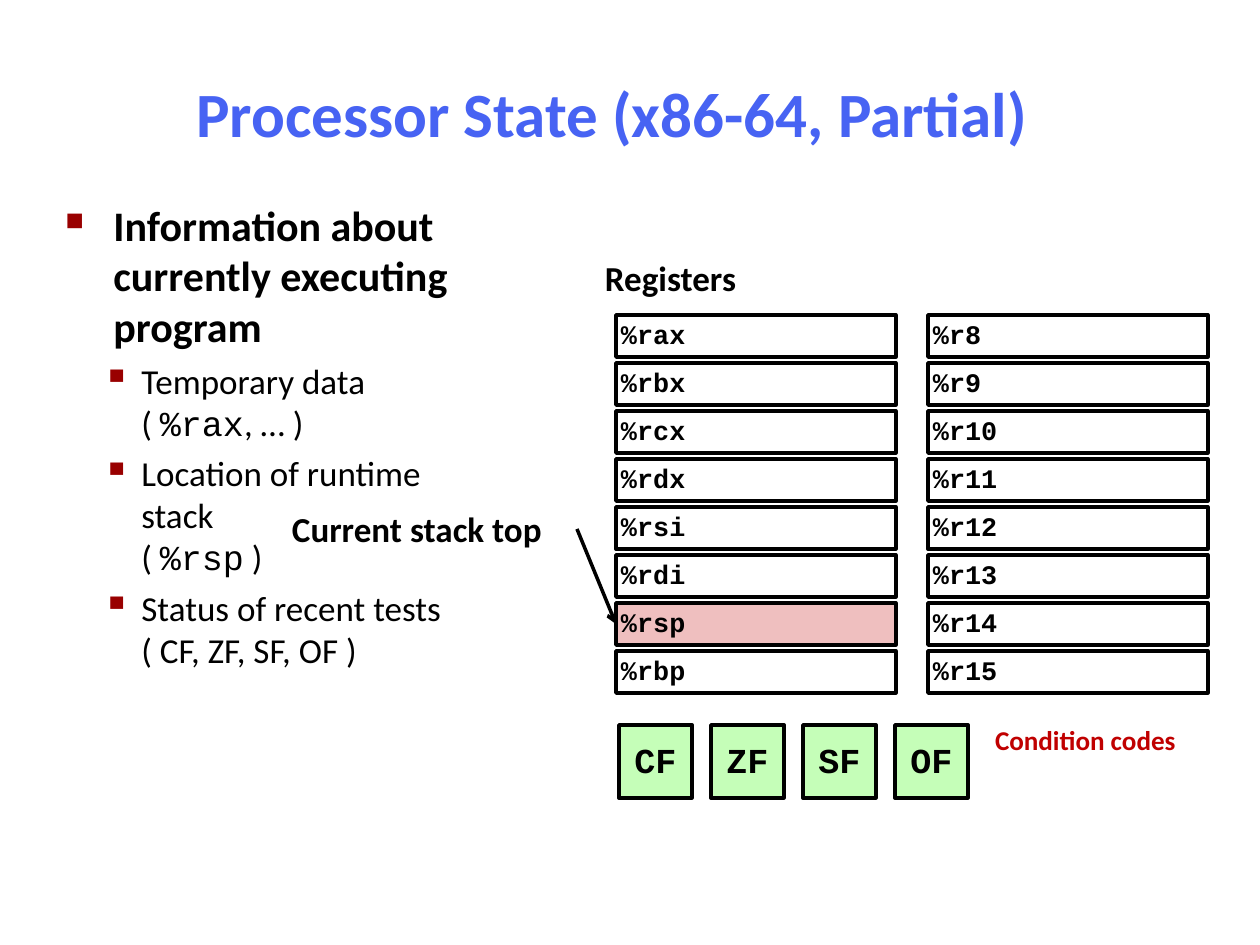
from lxml import etree
from pptx import Presentation
from pptx import util as u
from pptx.dml.color import RGBColor
from pptx.enum import shapes, text
from pptx.oxml.ns import qn

BLACK = RGBColor(0x00, 0x00, 0x00)
BLUE = RGBColor(0x47, 0x63, 0xF3)
MAROON = RGBColor(0x99, 0x00, 0x00)
RED = RGBColor(0xC0, 0x00, 0x00)
GREEN = RGBColor(0xC5, 0xFE, 0xB8)
PINK = RGBColor(0xEF, 0xBF, 0xBF)
SANS, MONO = "Calibri", "Courier New"
CENTER, MIDDLE = text.PP_ALIGN.CENTER, text.MSO_ANCHOR.MIDDLE


def px(n):
    return u.Emu(round(n * 914400 / 126))


class SlideBuilder:
    line_width = u.Pt(2)
    inset = 5

    def __init__(self, slide):
        self.slide = slide

    def set_inset(self, tf):
        tf.margin_left = tf.margin_right = px(self.inset)
        tf.margin_top = tf.margin_bottom = px(self.inset)

    def run(self, p, words, size, font=SANS, color=BLACK, bold=True):
        """Add one run; a newline in the words becomes a line break."""
        for i, part in enumerate(words.split("\n")):
            if i:
                p.add_line_break()
            r = p.add_run()
            r.text = part
            r.font.size, r.font.name, r.font.bold = u.Pt(size), font, bold
            r.font.color.rgb = color

    def textbox(self, x, y, w, h, wrap=True):
        tf = self.slide.shapes.add_textbox(px(x), px(y), px(w), px(h)).text_frame
        tf.word_wrap = wrap
        return tf

    def label(self, words, x, y, w, h, size=20, color=BLACK, wrap=False, spacing=None):
        tf = self.textbox(x, y, w, h, wrap)
        self.set_inset(tf)
        if not wrap:
            tf.auto_size = text.MSO_AUTO_SIZE.SHAPE_TO_FIT_TEXT
        p = tf.paragraphs[0]
        p.line_spacing = spacing
        self.run(p, words, size, color=color)

    def bullet(self, p, char, percent, margin, indent):
        pPr = p._p.get_or_add_pPr()
        pPr.set("marL", str(px(margin)))
        pPr.set("indent", str(px(-indent)))
        clr = etree.SubElement(pPr, qn("a:buClr"))
        etree.SubElement(clr, qn("a:srgbClr"), val=str(MAROON))
        etree.SubElement(pPr, qn("a:buSzPct"), val=str(percent * 1000))
        etree.SubElement(pPr, qn("a:buChar"), char=char)

    def box(self, words, x, y, w, h, size, fill=None, align=None, spacing=0.9):
        sp = self.slide.shapes.add_shape(
            shapes.MSO_SHAPE.RECTANGLE, px(x), px(y), px(w), px(h))
        sp.shadow.inherit = False
        if fill is None:
            sp.fill.background()
        else:
            sp.fill.solid()
            sp.fill.fore_color.rgb = fill
        sp.line.color.rgb, sp.line.width = BLACK, self.line_width
        tf = sp.text_frame
        self.set_inset(tf)
        tf.vertical_anchor = MIDDLE
        p = tf.paragraphs[0]
        p.alignment = align or text.PP_ALIGN.LEFT
        p.line_spacing = spacing
        self.run(p, words, size, MONO)
        return sp

    def arrow_to_left_side(self, x, y, target):
        c = self.slide.shapes.add_connector(
            shapes.MSO_CONNECTOR.STRAIGHT, px(x), px(y), px(x), px(y))
        c.end_connect(target, 1)
        c.line.color.rgb, c.line.width = BLACK, self.line_width
        etree.SubElement(c.line._get_or_add_ln(), qn("a:tailEnd"), type="arrow")
        etree.SubElement(c._element.spPr, qn("a:effectLst"))


def main():
    prs = Presentation()
    prs.slide_width, prs.slide_height = u.Inches(10), u.Inches(7.5)
    s = SlideBuilder(prs.slides.add_slide(prs.slide_layouts[6]))

    # Title
    tf = s.textbox(49, 60, 1126, 105)
    tf.vertical_anchor = MIDDLE
    p = tf.paragraphs[0]
    p.alignment = CENTER
    s.run(p, "Processor State (x86-64, Partial)", 36, color=BLUE)

    # Bulleted text
    tf = s.textbox(53, 193, 460, 748)
    p = tf.paragraphs[0]
    s.bullet(p, "■", 60, 48, 48)
    s.run(p, "Information about currently executing program", 24)
    details = [
        [("Temporary data\n( ", SANS), ("%rax", MONO), (", … )", SANS)],
        [("Location of runtime stack\n( ", SANS), ("%rsp", MONO), (" )", SANS)],
        [("Status of recent tests\n( CF, ZF, SF, OF )", SANS)],
    ]
    for runs in details:
        p = tf.add_paragraph()
        p.level = 1
        p.space_before = u.Pt(5)
        s.bullet(p, "▪", 110, 76, 39)
        for words, font in runs:
            s.run(p, words, 20, font, bold=False)

    # Labels
    s.label("Registers", 600, 252, 174, 53)
    s.label("Current stack top", 287, 503, 318, 53)

    # Condition codes
    for i, flag in enumerate(["CF", "ZF", "SF", "OF"]):
        s.box(flag, 619 + 92 * i, 725, 73, 73, 20, GREEN, CENTER, 0.95)
    s.label("Condition codes", 990, 725, 248, 62, 15.5, RED, wrap=True, spacing=0.8)

    # Register file
    columns = [
        (616, ["%rax", "%rbx", "%rcx", "%rdx", "%rsi", "%rdi", "%rsp", "%rbp"]),
        (928, [f"%r{n}" for n in range(8, 16)]),
    ]
    registers = {}
    for x, names in columns:
        for row, name in enumerate(names):
            fill = PINK if name == "%rsp" else None
            registers[name] = s.box(name, x, 315 + 48 * row, 280, 42, 15.3, fill)

    # Stack pointer arrow
    s.arrow_to_left_side(577, 529, registers["%rsp"])

    prs.save("out.pptx")


if __name__ == "__main__":
    main()
